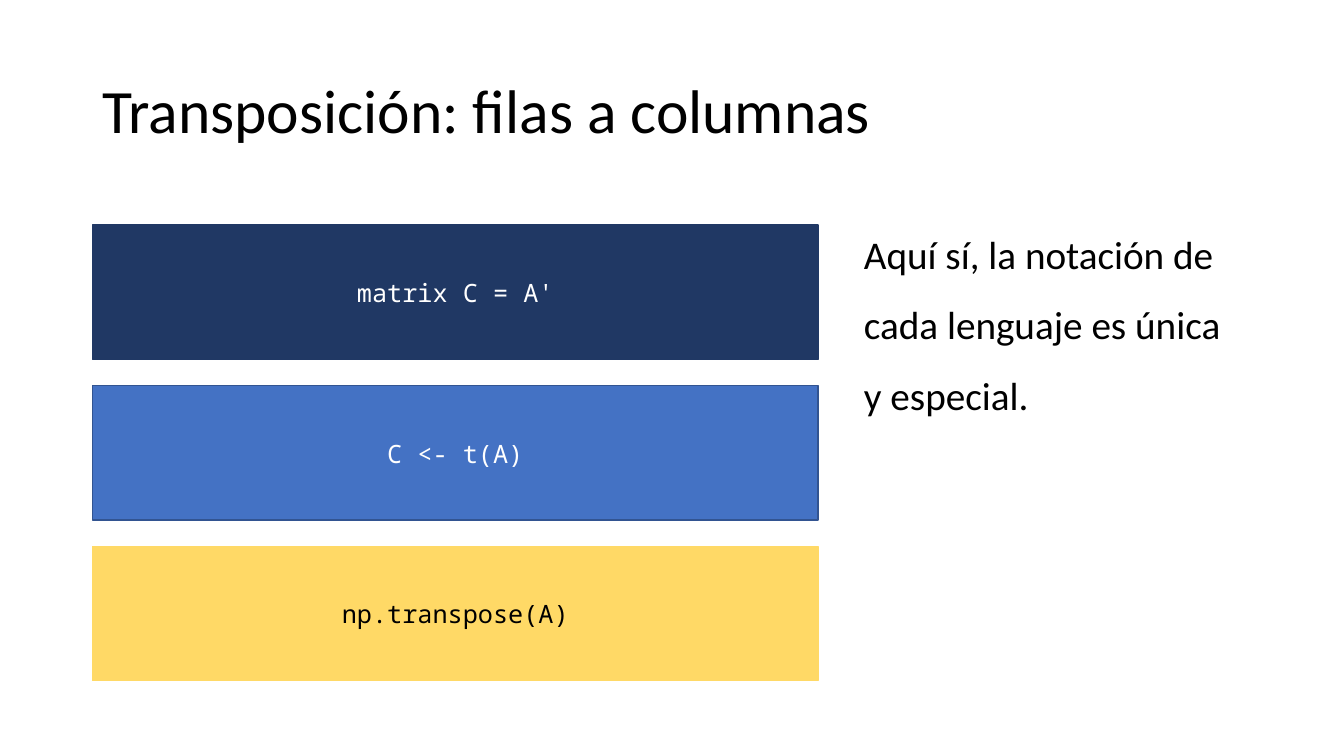
from dataclasses import dataclass

from pptx import Presentation
from pptx.dml.color import RGBColor
from pptx.enum.shapes import MSO_SHAPE
from pptx.enum.text import MSO_ANCHOR, PP_ALIGN
from pptx.shapes.autoshape import Shape
from pptx.slide import Slide
from pptx.util import Pt

RECTANGLE = MSO_SHAPE.RECTANGLE
TOP, MIDDLE = MSO_ANCHOR.TOP, MSO_ANCHOR.MIDDLE
LEFT, CENTER = PP_ALIGN.LEFT, PP_ALIGN.CENTER

COLORS = {
    "black": "000000",
    "white": "FFFFFF",
    "navy": "203864",
    "blue": "4472C4",
    "blue_edge": "325491",
    "yellow": "FFD966",
}
TEXT_FONT = "Calibri"
CODE_FONT = "Noto Sans Mono"

MARGIN = 66
CODE_TOP, CODE_STEP = 160.7, 114.8
CODE_WIDTH, CODE_HEIGHT = 518.4, 96


@dataclass(frozen=True)
class CodeBox:
    """One language's notation and its colours."""

    code: str
    fill: str
    edge: str
    color: str


@dataclass(frozen=True)
class TextBlock:
    """A plain text box, measured in points."""

    text: str
    left: float
    top: float
    width: float
    height: float
    size: float
    anchor: MSO_ANCHOR
    line_spacing: float
    space_before: float = 0


CODE_BOXES = (
    CodeBox("matrix C = A'", "navy", "navy", "white"),
    CodeBox("C <- t(A)", "blue", "blue_edge", "white"),
    CodeBox("np.transpose(A)", "yellow", "yellow", "black"),
)
TEXT_BLOCKS = (
    TextBlock("Transposición: filas a columnas", MARGIN, 28.8, 828, 104.4,
              size=44, anchor=MIDDLE, line_spacing=0.9),
    TextBlock("Aquí sí, la notación de cada lenguaje es única y especial.",
              610, 144, 284.4, 342.7,
              size=28, anchor=TOP, line_spacing=1.5, space_before=10),
)


def rgb(name: str) -> RGBColor:
    """Look up a named colour."""
    return RGBColor.from_string(COLORS[name])


def write_text(shape: Shape, text: str, *, font: str = TEXT_FONT,
               size: float = 18, color: str = "black",
               align: PP_ALIGN = LEFT, anchor: MSO_ANCHOR = MIDDLE,
               line_spacing: float = 1.0, space_before: float = 0) -> None:
    """Write one formatted paragraph into a shape."""
    frame = shape.text_frame
    frame.word_wrap = True
    frame.vertical_anchor = anchor
    paragraph = frame.paragraphs[0]
    paragraph.alignment = align
    paragraph.line_spacing = line_spacing
    paragraph.space_before = Pt(space_before)
    run = paragraph.add_run()
    run.text = text
    run.font.name = font
    run.font.size = Pt(size)
    run.font.color.rgb = rgb(color)


def add_text_block(slide: Slide, block: TextBlock) -> None:
    """Add a text box to the slide."""
    shape = slide.shapes.add_textbox(
        Pt(block.left), Pt(block.top), Pt(block.width), Pt(block.height))
    write_text(shape, block.text, size=block.size, anchor=block.anchor,
               line_spacing=block.line_spacing,
               space_before=block.space_before)


def add_code_box(slide: Slide, box: CodeBox, top: float) -> None:
    """Add a coloured rectangle with centred code."""
    shape = slide.shapes.add_shape(
        RECTANGLE, Pt(MARGIN), Pt(top), Pt(CODE_WIDTH), Pt(CODE_HEIGHT))
    shape.shadow.inherit = False
    shape.fill.solid()
    shape.fill.fore_color.rgb = rgb(box.fill)
    shape.line.color.rgb = rgb(box.edge)
    shape.line.width = Pt(1)
    write_text(shape, box.code, font=CODE_FONT, color=box.color, align=CENTER)


def main() -> None:
    """Build and save the presentation."""
    presentation = Presentation()
    presentation.slide_width, presentation.slide_height = Pt(960), Pt(540)
    slide = presentation.slides.add_slide(presentation.slide_layouts[6])
    for block in TEXT_BLOCKS:
        add_text_block(slide, block)
    for row, box in enumerate(CODE_BOXES):
        add_code_box(slide, box, CODE_TOP + row * CODE_STEP)
    presentation.save("out.pptx")


main()
